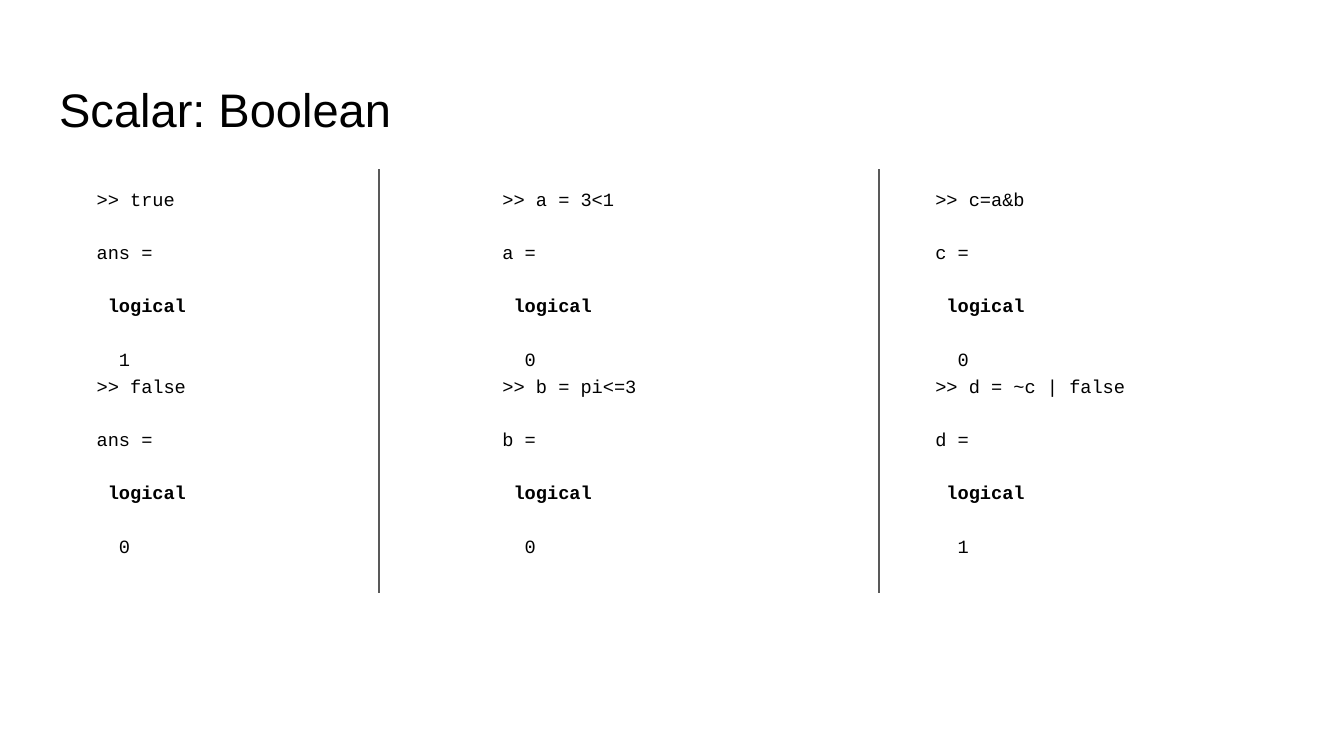
from dataclasses import dataclass

from lxml.etree import SubElement
from pptx import Presentation
from pptx.dml.color import RGBColor
from pptx.enum.shapes import MSO_CONNECTOR
from pptx.enum.text import MSO_ANCHOR, MSO_AUTO_SIZE, PP_ALIGN
from pptx.oxml.ns import qn
from pptx.util import Pt


@dataclass(frozen=True)
class Theme:
    text: RGBColor = RGBColor(0, 0, 0)
    rule: RGBColor = RGBColor(0x59, 0x59, 0x59)
    title_font: str = "Arial"
    code_font: str = "Courier New"
    title_size: float = 25.2
    code_size: float = 10
    line_spacing: float = 1.22
    blank_line: float = 13.85
    code_indent: float = 23
    inset: float = 7.2
    rule_width: float = 0.75


THEME = Theme()
COLUMN_TOP, COLUMN_HEIGHT, RULE_HEIGHT = 90.7, 301.7, 226.8
# Left edge, width, then (command, variable, value) for each console entry
COLUMNS = [
    (21.6, 249.8, [("true", "ans", 1), ("false", "ans", 0)]),
    (239, 173.5, [("a = 3<1", "a", 0), ("b = pi<=3", "b", 0)]),
    (470.9, 173.5, [("c=a&b", "c", 0), ("d = ~c | false", "d", 1)]),
]
RULES = [203, 470.9]


def set_all(target, values):
    for name, value in values.items():
        setattr(target, name, value)


def place_frame(shape, box, anchor):
    """Move a placeholder to its box and return its prepared text frame."""
    set_all(shape, dict(zip(("left", "top", "width", "height"), map(Pt, box))))
    frame = shape.text_frame
    margins = ("margin_left", "margin_top", "margin_right", "margin_bottom")
    set_all(frame, dict.fromkeys(margins, Pt(THEME.inset)))
    set_all(frame, {"word_wrap": True, "auto_size": MSO_AUTO_SIZE.NONE,
                    "vertical_anchor": anchor})
    return frame


def style_font(font, name, size, bold=False):
    set_all(font, {"name": name, "size": Pt(size), "bold": bold})
    font.color.rgb = THEME.text


def add_title(shape, box, text):
    frame = place_frame(shape, box, MSO_ANCHOR.BOTTOM)
    paragraph = frame.paragraphs[0]
    paragraph.alignment = PP_ALIGN.LEFT
    run = paragraph.add_run()
    run.text = text
    style_font(run.font, THEME.title_font, THEME.title_size)


def add_console(shape, box, entries):
    """Fill a body placeholder with commands and the answers they print."""
    frame = place_frame(shape, box, MSO_ANCHOR.TOP)
    lines = []
    for command, variable, value in entries:
        lines += [(f">> {command}", False, 0),
                  (f"{variable} =", False, THEME.blank_line),
                  (" logical", True, THEME.blank_line),
                  (f"  {value}", False, THEME.blank_line)]
    for index, (text, bold, gap) in enumerate(lines):
        paragraph = frame.add_paragraph() if index else frame.paragraphs[0]
        set_all(paragraph, {"alignment": PP_ALIGN.LEFT, "space_before": Pt(gap),
                            "space_after": Pt(0),
                            "line_spacing": THEME.line_spacing})
        properties = paragraph._p.get_or_add_pPr()
        properties.set("marL", str(Pt(THEME.code_indent)))
        properties.set("indent", "0")
        SubElement(properties, qn("a:buNone"))
        run = paragraph.add_run()
        run.text = text
        style_font(run.font, THEME.code_font, THEME.code_size, bold)


def add_rule(slide, x, top, height):
    rule = slide.shapes.add_connector(
        MSO_CONNECTOR.STRAIGHT, Pt(x), Pt(top), Pt(x), Pt(top + height))
    rule.line.color.rgb = THEME.rule
    rule.line.width = Pt(THEME.rule_width)
    SubElement(rule._element.spPr, qn("a:effectLst"))


def build_slide(presentation):
    comparison_layout = presentation.slide_layouts[4]
    slide = presentation.slides.add_slide(comparison_layout)
    title, *bodies = slide.placeholders
    add_title(title, (24.5, 35.3, 671, 45.4), "Scalar: Boolean")
    for body, (left, width, entries) in zip(bodies, COLUMNS):
        add_console(body, (left, COLUMN_TOP, width, COLUMN_HEIGHT), entries)
    for unused in bodies[len(COLUMNS):]:
        unused._element.getparent().remove(unused._element)
    for x in RULES:
        add_rule(slide, x, COLUMN_TOP, RULE_HEIGHT)


def main():
    presentation = Presentation()
    set_all(presentation, {"slide_width": Pt(720), "slide_height": Pt(405)})
    build_slide(presentation)
    presentation.save("out.pptx")


if __name__ == "__main__":
    main()
